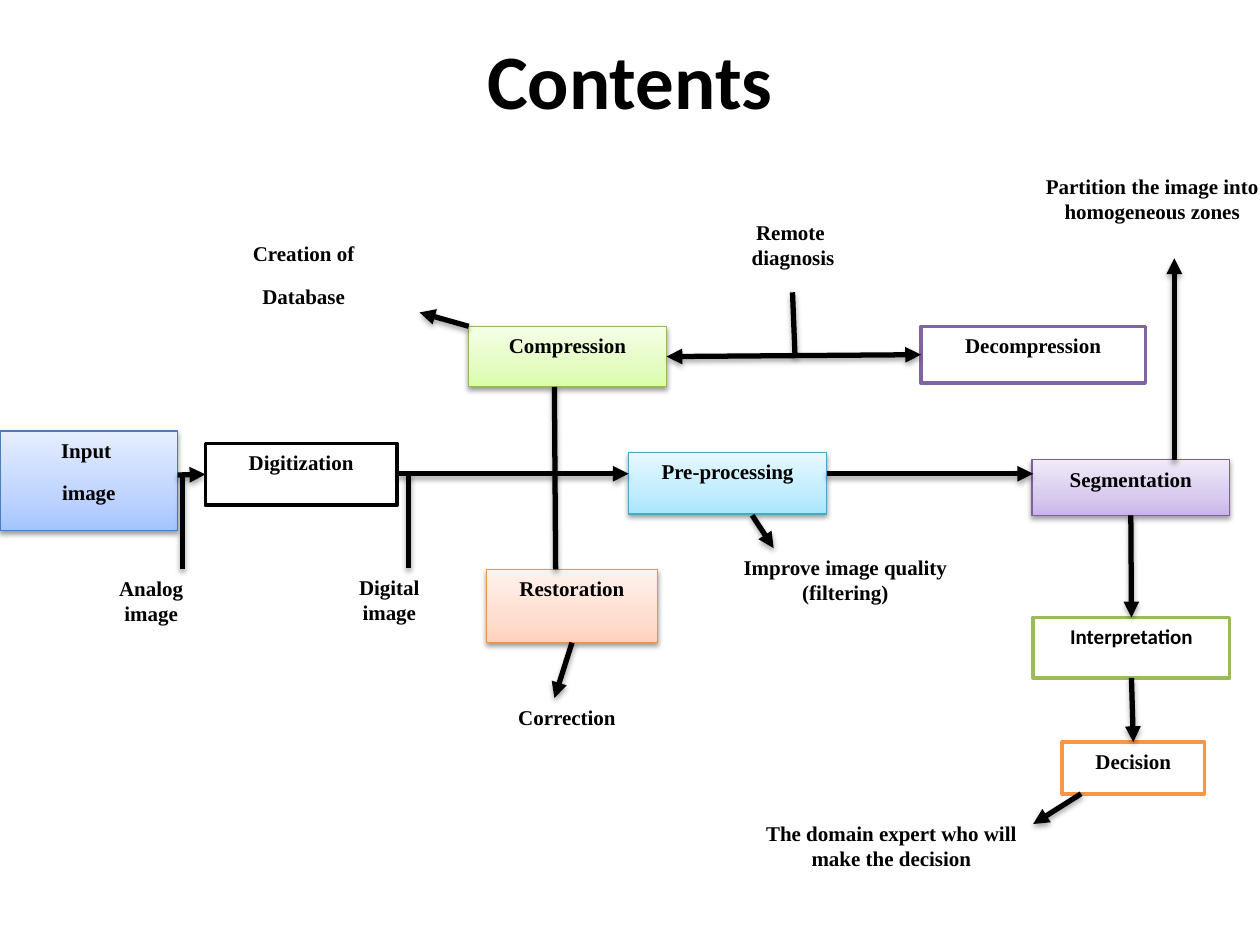
from copy import deepcopy

from lxml import etree
from pptx import Presentation
from pptx import util as u
from pptx.dml.color import RGBColor
from pptx.enum import shapes, text
from pptx.oxml import ns

PX = 9144
SERIF = "Times New Roman"
COLORS = {
    "ink": "000000", "paper": "FFFFFF", "purple": "8064A2", "orange": "F79646", "green": "9BBB59",
    "cyan_line": "46AAC5", "blue_line": "4B7EBC", "peach_line": "F69240",
    "lime_line": "98B955", "violet_line": "7D60A0",
}
GRADIENTS = {
    "cyan": ("A7E6FF", "C1EDFF", "E7F8FF"),
    "blue": ("A4C4FF", "BFD4FF", "E6EEFF"),
    "peach": ("FFD2BD", "FFDED0", "FFF2ED"),
    "lime": ("DAFDA7", "E4FCC2", "F5FFE7"),
    "violet": ("C9B5E8", "D8CBEE", "F0EAF9"),
}
STAGES = {
    "Decompression": (731, 129, 178, 45, "purple"),
    "Pre-processing": (499, 229, 157, 49, "cyan"),
    "Digitization": (163, 222, 152, 49, "ink"),
    "Input \nimage": (0, 212, 141, 79, "blue"),
    "Restoration": (386, 322, 136, 58, "peach"),
    "Compression": (372, 129, 157, 48, "lime"),
    "Decision": (843, 459, 113, 41, "orange"),
    "Interpretation": (820, 360, 156, 48, "green"),
    "Segmentation": (819, 235, 157, 44, "violet"),
}
NOTES = [
    ("Analog image", 63, 322, 114, 69, 10),
    ("Digital image", 252, 321, 114, 69, 10),
    ("Creation of\nDatabase", 150, 56, 182, 73, 10),
    ("Remote \ndiagnosis", 551, 39, 157, 64, 0),
    ("Partition the image into homogeneous zones", 804, 3, 221, 72, 10),
    ("Improve image quality (filtering)", 561, 305, 220, 75, 10),
    ("Correction", 386, 424, 128, 42, 10),
    ("The domain expert who will make the decision", 597, 516, 221, 104, 10),
]
LINKS = [
    ((141, 247), ("Digitization", 1), "tail"),
    ((315, 246), (499, 246), "tail"),
    ((656, 246), (820, 246), "tail"),
    (("Segmentation", 2), ("Interpretation", 0), "tail"),
    (("Interpretation", 2), ("Decision", 0), "tail"),
    ((440, 177), (441, 322), ""),
    ((372, 129), (333, 118), "tail"),
    (("Compression", 3), ("Decompression", 1), "head tail"),
    ((629, 102), (631, 153), ""),
    ((932, 235), (932, 75), "tail"),
    ((858, 500), (820, 524), "tail"),
    ((597, 279), (614, 305), "tail"),
    (("Restoration", 2), (440, 424), "tail"),
    ((145, 322), (145, 246), ""),
    ((324, 321), (324, 245), ""),
]


def rgb(name):
    """Return the named colour."""
    return RGBColor.from_string(COLORS[name])


def write(frame, words, size=12, font=SERIF, after=10, anchor=text.MSO_ANCHOR.TOP):
    """Write bold centred paragraphs, one for each line of words."""
    frame.word_wrap = True
    frame.vertical_anchor = anchor
    for index, line in enumerate(words.split("\n")):
        paragraph = frame.add_paragraph() if index else frame.paragraphs[0]
        paragraph.alignment = text.PP_ALIGN.CENTER
        paragraph.space_after = u.Pt(after)
        run = paragraph.add_run()
        run.text = line
        run.font.size, run.font.name, run.font.bold = u.Pt(size), font, True
        run.font.color.rgb = rgb("ink")


def add_shadow(properties, alpha, distance):
    """Add a soft black shadow that falls downwards."""
    effects = properties.find(ns.qn("a:effectLst"))
    if effects is None:
        effects = etree.SubElement(properties, ns.qn("a:effectLst"))
    cast = etree.SubElement(effects, ns.qn("a:outerShdw"), blurRad=str(u.Pt(3.1)),
                            dist=str(u.Pt(distance)), dir="5400000", rotWithShape="0")
    color = etree.SubElement(cast, ns.qn("a:srgbClr"), val=COLORS["ink"])
    etree.SubElement(color, ns.qn("a:alpha"), val=str(alpha * 1000))


def shade(box, tones):
    """Fill a box with three tones rising from its lower edge."""
    box.fill.gradient()
    box.fill.gradient_angle = 90
    stops = box._element.spPr.find(".//" + ns.qn("a:gsLst"))
    stops.append(deepcopy(stops[-1]))
    for stop, position, tone in zip(box.fill.gradient_stops, (0, 0.35, 1), tones):
        stop.position = position
        stop.color.rgb = RGBColor.from_string(tone)


def add_box(slide, left, top, width, height, outline, weight):
    """Add a white rectangle with an outline."""
    box = slide.shapes.add_shape(shapes.MSO_SHAPE.RECTANGLE,
                                 *(n * PX for n in (left, top, width, height)))
    box.shadow.inherit = False
    box.fill.solid()
    box.fill.fore_color.rgb = rgb("paper")
    box.line.color.rgb = rgb(outline)
    box.line.width = u.Pt(weight)
    return box


def draw_title(slide, left, top, width, height):
    """Draw the slide title in its box."""
    title = slide.shapes.add_textbox(*(n * PX for n in (left, top, width, height)))
    write(title.text_frame, "Contents", size=44, font="Calibri", after=0,
          anchor=text.MSO_ANCHOR.MIDDLE)


def draw_stages(slide, left, top):
    """Draw the processing stages and return them by name."""
    stages = {}
    for name, (x, y, width, height, tint) in STAGES.items():
        shaded = tint in GRADIENTS
        stage = add_box(slide, left + x, top + y, width, height,
                        tint + "_line" if shaded else tint, 0.75 if shaded else 2)
        if shaded:
            shade(stage, GRADIENTS[tint])
            add_shadow(stage._element.spPr, 38, 1.6)
        write(stage.text_frame, name, font="Calibri" if name == "Interpretation" else SERIF)
        stages[name] = stage
    return stages


def draw_notes(slide, left, top):
    """Draw the remarks around the stages."""
    for words, x, y, width, height, after in NOTES:
        note = add_box(slide, left + x, top + y, width, height, "paper", 0.75)
        write(note.text_frame, words, after=after)


def draw_links(slide, left, top, stages):
    """Draw the arrows and lines, joined to stages where a side is named."""
    for start, finish, heads in LINKS:
        points = [(0, 0) if end[0] in stages else (left + end[0], top + end[1])
                  for end in (start, finish)]
        link = slide.shapes.add_connector(shapes.MSO_CONNECTOR.STRAIGHT,
                                          *(n * PX for point in points for n in point))
        for end, join in ((start, link.begin_connect), (finish, link.end_connect)):
            if end[0] in stages:
                join(stages[end[0]], end[1])
        link.line.color.rgb = rgb("ink")
        link.line.width = u.Pt(3)
        for head in heads.split():
            etree.SubElement(link.line._get_or_add_ln(), ns.qn(f"a:{head}End"), type="triangle")
        add_shadow(link._element.spPr, 35, 1.8)


def draw_diagram(slide, left, top):
    """Draw the image processing chain from its top left corner."""
    stages = draw_stages(slide, left, top)
    draw_notes(slide, left, top)
    draw_links(slide, left, top, stages)


def main():
    """Build and save the slide."""
    deck = Presentation()
    deck.slide_width, deck.slide_height = 1000 * PX, 750 * PX
    slide = deck.slides.add_slide(deck.slide_layouts[6])
    draw_title(slide, 50, 0, 900, 125)
    draw_diagram(slide, 0, 130)
    deck.save("out.pptx")


if __name__ == "__main__":
    main()
